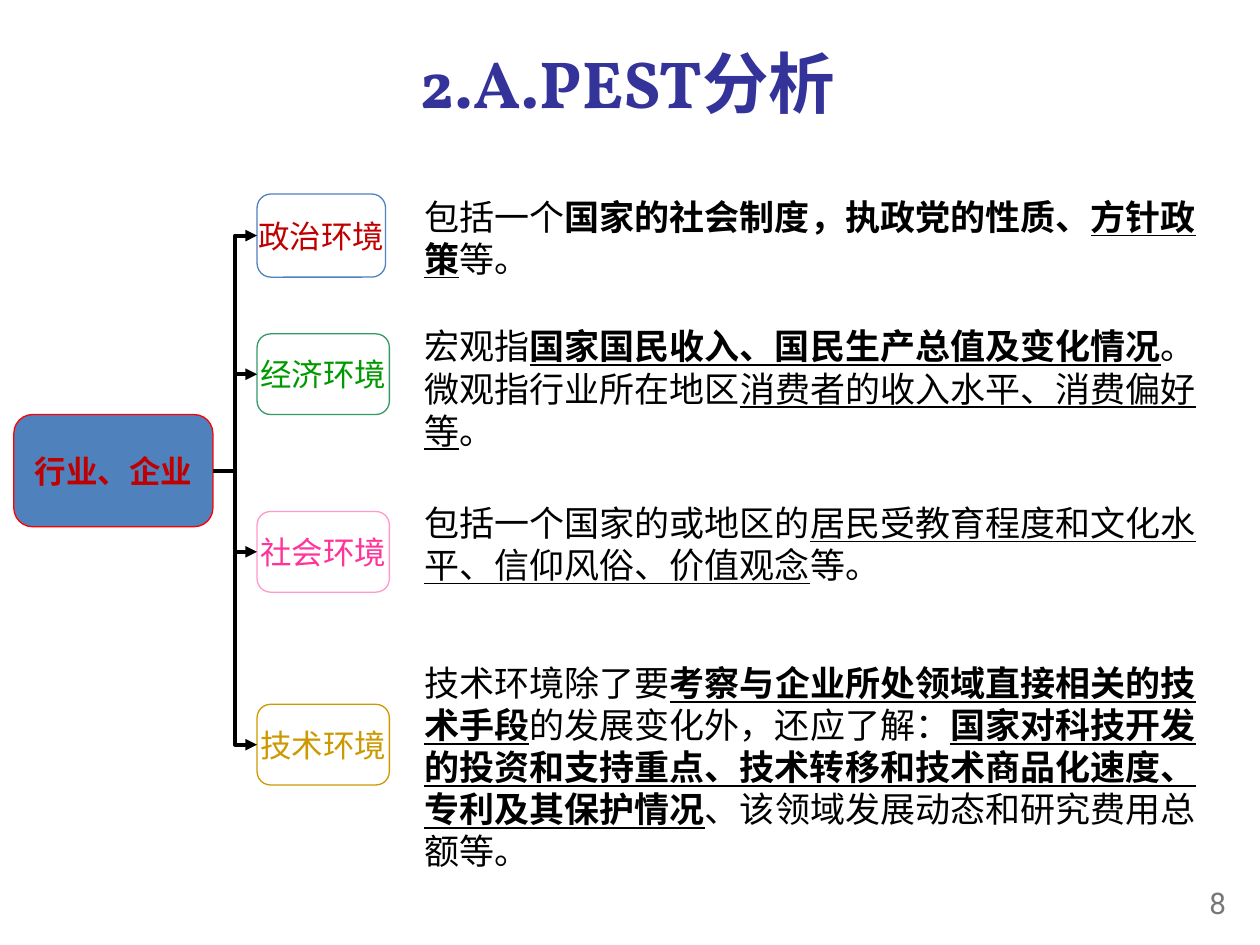
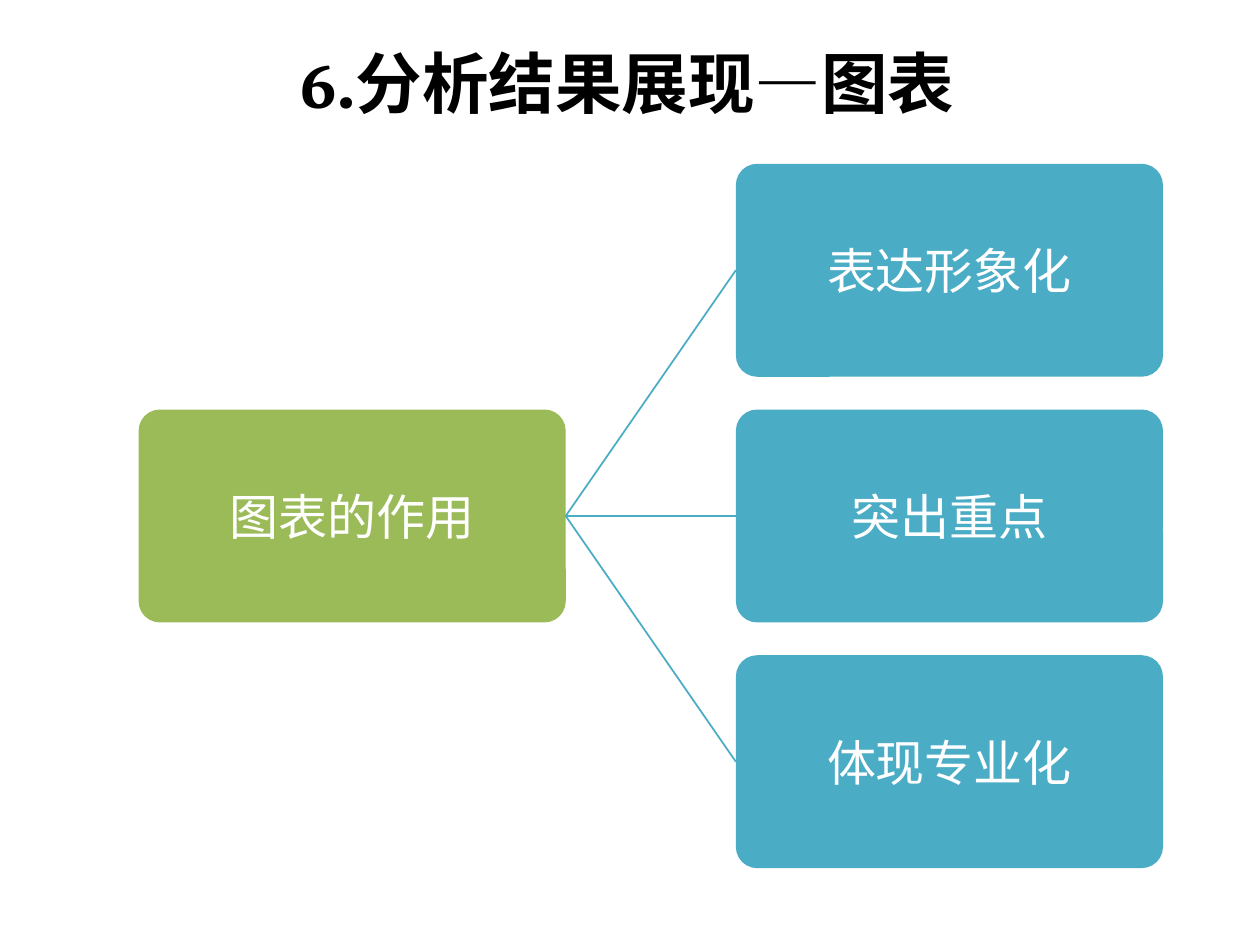
from lxml.etree import SubElement
from pptx import Presentation
from pptx.dml.color import RGBColor
from pptx.enum.shapes import MSO_CONNECTOR, MSO_SHAPE
from pptx.enum.text import MSO_ANCHOR, PP_ALIGN
from pptx.oxml.ns import qn
from pptx.util import Inches, Pt

WIDTH, HEIGHT = Inches(10), Inches(7.5)
COL, ROW = WIDTH / 100, HEIGHT / 75

BLACK = RGBColor(0x00, 0x00, 0x00)
WHITE = RGBColor(0xFF, 0xFF, 0xFF)
GREY = RGBColor(0x77, 0x77, 0x77)
NAVY = RGBColor(0x33, 0x33, 0x99)
BLUE = RGBColor(0x4F, 0x81, 0xBD)
RED = RGBColor(0xFF, 0x00, 0x00)
DARK_RED = RGBColor(0xC0, 0x00, 0x00)
GREEN = RGBColor(0x00, 0x99, 0x00)
SEA_GREEN = RGBColor(0x33, 0x99, 0x66)
PINK = RGBColor(0xFF, 0x99, 0xCC)
HOT_PINK = RGBColor(0xFF, 0x33, 0x99)
GOLD = RGBColor(0xCC, 0x99, 0x00)
OLIVE = RGBColor(0x9B, 0xBB, 0x59)
TEAL = RGBColor(0x4B, 0xAC, 0xC6)

TITLE_FONT, NUMBER_FONT, CJK_FONT = "Vollkorn", "Roboto", "Noto Sans CJK SC"
TITLE_BOX = (3.8, 2.8, 92, 7.4)
NUMBER_BOX = (90.8, 69.7, 7.5, 4)
PEST_BOX = (1.1, 15, 97.2, 54.8)
ROLES_BOX = (11, 13, 81.3, 55.9)

# Each factor: label, font, text colour, line colour, box (top, width, height), note (top, height), note runs
FACTORS = [
    ("政治环境", CJK_FONT, DARK_RED, BLUE, (0.4, 10.2, 6.6), (0, 7.7),
     [("包括一个", ""), ("国家的社会制度，执政党的性质、", "b"), ("方针政策", "bu"), ("等。", "")]),
    ("经济环境", CJK_FONT, GREEN, SEA_GREEN, (11.5, 10.5, 6.4), (10.3, 11.1),
     [("宏观指", ""), ("国家国民收入、国民生产总值及变化情况", "bu"), ("。微观指行业所在地区", ""),
      ("消费者的收入水平、消费偏好等", "u"), ("。", "")]),
    ("社会环境", CJK_FONT, HOT_PINK, PINK, (25.6, 10.5, 6.4), (24.3, 7.7),
     [("包括一个国家的或地区的", ""), ("居民受教育程度和文化水平、信仰风俗、价值观念", "u"), ("等。", "")]),
    ("技术环境", "Calibri", GOLD, GOLD, (40.9, 10.5, 6.4), (37, 17.8),
     [("技术环境除了要", ""), ("考察与企业所处领域直接相关的技术手段", "bu"),
      ("的发展变化外，还应了解：", ""),
      ("国家对科技开发的投资和支持重点、技术转移和技术商品化速度、专利及其保护情况", "bu"),
      ("、该领域发展动态和研究费用总额等。", "")]),
]
ROLES = ["表达形象化", "突出重点", "体现专业化"]


def emu(x, y, w, h):
    """Turn grid columns and rows into slide lengths."""
    return round(x * COL), round(y * ROW), round(w * COL), round(h * ROW)


def format_run(r, size, color, font=CJK_FONT, bold=False, underline=False):
    """Set the font of one run for Latin and Chinese characters."""
    r.font.size, r.font.name = Pt(size), font
    r.font.bold, r.font.underline = bold, underline
    r.font.color.rgb = color
    SubElement(r._r.get_or_add_rPr(), qn("a:ea"), typeface=CJK_FONT)


def add_title(s, text, color):
    """Place and format the slide title."""
    title = s.shapes.title
    title.left, title.top, title.width, title.height = emu(*TITLE_BOX)
    tf = title.text_frame
    tf.text = text
    tf.vertical_anchor = MSO_ANCHOR.MIDDLE
    p = tf.paragraphs[0]
    p.alignment = PP_ALIGN.CENTER
    format_run(p.runs[0], 38, color, TITLE_FONT, bold=True)


def add_number(s, number):
    """Write the slide number at the lower right."""
    tf = s.shapes.add_textbox(*emu(*NUMBER_BOX)).text_frame
    tf.word_wrap = True
    tf.text = str(number)
    p = tf.paragraphs[0]
    p.alignment = PP_ALIGN.RIGHT
    format_run(p.runs[0], 17, GREY, NUMBER_FONT)


def add_box(s, kind, box, text, fill, line, size, color, font=CJK_FONT, bold=False):
    """Add a filled box with one centred label."""
    sp = s.shapes.add_shape(kind, *emu(*box))
    sp.shadow.inherit = False
    sp.fill.solid()
    sp.fill.fore_color.rgb = fill
    if line is None:
        sp.line.fill.background()
    else:
        sp.line.color.rgb, sp.line.width = line, Pt(0.75)
    tf = sp.text_frame
    tf.word_wrap = False
    tf.vertical_anchor = MSO_ANCHOR.MIDDLE
    tf.text = text
    p = tf.paragraphs[0]
    p.alignment = PP_ALIGN.CENTER
    format_run(p.runs[0], size, color, font, bold)
    return sp


def join(s, kind, start, end, color, width, arrow=False):
    """Connect the right side of one box to the left side of another."""
    cx = s.shapes.add_connector(kind, start.left + start.width, start.top + start.height // 2,
                                end.left, end.top + end.height // 2)
    cx.begin_connect(start, 3)
    cx.end_connect(end, 1)
    cx.line.color.rgb, cx.line.width = color, Pt(width)
    if arrow:
        SubElement(cx.line._get_or_add_ln(), qn("a:tailEnd"), type="triangle")
    SubElement(cx._element.spPr, qn("a:effectLst"))


def add_note(s, box, parts):
    """Write one explanation with bold and underlined parts."""
    tf = s.shapes.add_textbox(*emu(*box)).text_frame
    tf.word_wrap = True
    p = tf.paragraphs[0]
    p.line_spacing = Pt(24)
    for text, style in parts:
        r = p.add_run()
        r.text = text
        format_run(r, 20, BLACK, bold="b" in style, underline="u" in style)


def add_pest_tree(s, box):
    """Draw the company, its four environments and their explanations."""
    x, y, w, h = box
    kind = MSO_SHAPE.FLOWCHART_ALTERNATE_PROCESS
    root = add_box(s, kind, (x, y + 17.9, 15.8, 8.9), "行业、企业", BLUE, RED, 18, DARK_RED, bold=True)
    for label, font, color, line, (top, width, height), (note_top, note_h), parts in FACTORS:
        factor = add_box(s, kind, (x + 19.3, y + top, width, height), label, WHITE, line, 18, color, font)
        join(s, MSO_CONNECTOR.ELBOW, root, factor, BLACK, 2.25, arrow=True)
        add_note(s, (x + 31.6, y + note_top, w - 31.6, note_h), parts)


def add_role_tree(s, box):
    """Draw the topic on the left and its equally spaced roles on the right."""
    x, y, w, h = box
    box_w, box_h = 33.9, 16.9
    step = (h - box_h) / (len(ROLES) - 1)

    def node(left, top, text, fill):
        """Add one rounded box of the tree."""
        sp = add_box(s, MSO_SHAPE.ROUNDED_RECTANGLE, (left, top, box_w, box_h),
                     text, fill, None, 28, WHITE, "Arial")
        sp.adjustments[0] = 0.1
        return sp

    topic = node(x, y + (h - box_h) / 2, "图表的作用", OLIVE)
    for i, text in enumerate(ROLES):
        role = node(x + w - box_w, y + i * step, text, TEAL)
        join(s, MSO_CONNECTOR.STRAIGHT, topic, role, TEAL, 1)


def main():
    """Build both slides and save the file."""
    prs = Presentation()
    prs.slide_width, prs.slide_height = WIDTH, HEIGHT
    layout = prs.slide_layouts[5]

    s = prs.slides.add_slide(layout)
    add_title(s, "2.A.PEST分析", NAVY)
    add_pest_tree(s, PEST_BOX)
    add_number(s, 8)

    s = prs.slides.add_slide(layout)
    add_title(s, "6.分析结果展现—图表", BLACK)
    add_role_tree(s, ROLES_BOX)

    prs.save("out.pptx")


if __name__ == "__main__":
    main()
